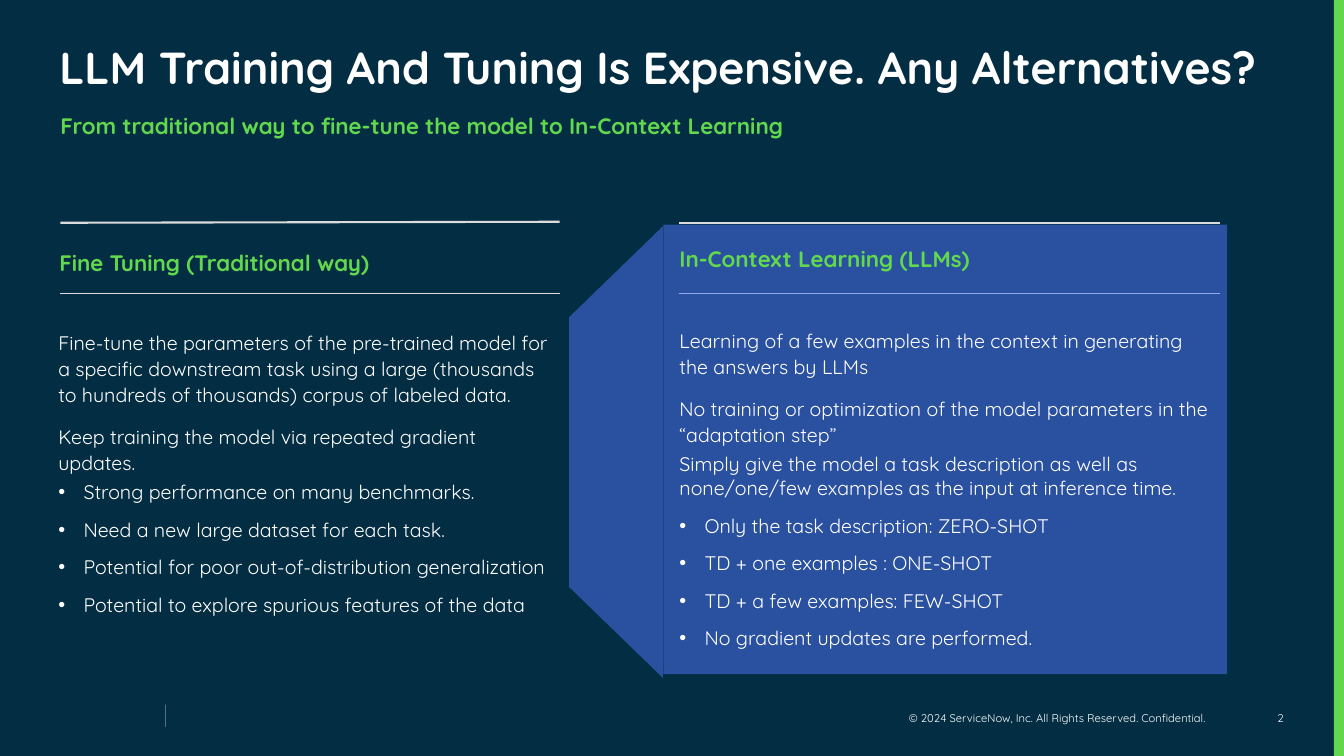
"""Build a slide comparing fine tuning with in-context learning."""
from lxml.etree import SubElement
from pptx import Presentation
from pptx.dml.color import RGBColor
from pptx.enum.shapes import MSO_CONNECTOR, MSO_SHAPE
from pptx.enum.text import MSO_ANCHOR, PP_ALIGN
from pptx.oxml.ns import qn
from pptx.util import Inches, Pt

NAVY = RGBColor(0x03, 0x2D, 0x42)
GREEN = RGBColor(0x62, 0xD8, 0x4E)
BLUE = RGBColor(0x52, 0x74, 0xFF)
GREY = RGBColor(0xDB, 0xDB, 0xDB)
WHITE = RGBColor(0xFF, 0xFF, 0xFF)

deck = Presentation()
deck.slide_width, deck.slide_height = Inches(13.33), Inches(7.5)
slide = deck.slides.add_slide(deck.slide_layouts[6])
slide.background.fill.solid()
slide.background.fill.fore_color.rgb = NAVY


def fade(fill):
    """Make a solid fill half transparent."""
    tint = fill._xPr.find(qn("a:solidFill"))[0]
    SubElement(tint, qn("a:alpha"), val="50000")


def write(box, items, size, color, bold=False, anchor=MSO_ANCHOR.TOP):
    """Add a text box of (kind, text) paragraphs."""
    frame = slide.shapes.add_textbox(*map(Inches, box)).text_frame
    frame.word_wrap = True
    frame.vertical_anchor = anchor
    for i, (kind, text) in enumerate(items):
        para = frame.paragraphs[0] if i == 0 else frame.add_paragraph()
        para.text = text
        if kind == "bullet":
            props = para._p.get_or_add_pPr()
            props.set("marL", str(Inches(0.25)))
            props.set("indent", str(Inches(-0.25)))
            SubElement(props, qn("a:buFont"), typeface="Arial")
            SubElement(props, qn("a:buChar"), char="•")
        if kind == "lead":
            para.line_spacing = 1.1
        elif kind == "title":
            para.line_spacing = 0.9
        elif kind == "right":
            para.alignment = PP_ALIGN.RIGHT
        else:
            para.space_after = Pt(6)
        if i:
            para.space_before = Pt(12 if kind == "lead" else 4)
        font = para.runs[0].font
        font.name, font.size, font.bold = "Quicksand", Pt(size), bold
        font.color.rgb = color


rules = [
    (1.64, 6.99, 1.64, 7.21, WHITE, 0.25),
    (0.6, 2.21, 5.55, 2.2, GREY, 1.5),
    (0.6, 2.91, 5.55, 2.91, GREY, 1),
    (6.73, 2.21, 12.1, 2.21, GREY, 1.5),
    (6.73, 2.91, 12.1, 2.91, GREY, 1),
]
for *ends, color, width in rules:
    rule = slide.shapes.add_connector(MSO_CONNECTOR.STRAIGHT, *map(Inches, ends))
    rule.line.color.rgb = color
    rule.line.width = Pt(width)
    SubElement(rule._element.spPr, qn("a:effectLst"))
    if color == WHITE:
        fade(rule.line.fill)

blocks = [
    (MSO_SHAPE.RECTANGLE, (13.23, 0, 0.1, 7.5), GREEN),
    (MSO_SHAPE.RECTANGLE, (6.58, 2.23, 5.59, 4.46), BLUE),
    (MSO_SHAPE.TRAPEZOID, (3.87, 4.02, 4.48, 0.93), BLUE),
]
for kind, box, color in blocks:
    block = slide.shapes.add_shape(kind, *map(Inches, box))
    block.shadow.inherit = False
    block.fill.solid()
    block.fill.fore_color.rgb = color
    block.line.fill.background()
    if color == BLUE:
        fade(block.fill)
    if kind == MSO_SHAPE.TRAPEZOID:
        block.rotation = 270
        block.adjustments[0] = 0.97

heads = [
    ((0.5, 1.05, 12.23, 0.4),
     "From traditional way to fine-tune the model to In-Context Learning"),
    ((0.49, 2.23, 5.11, 0.74), "Fine Tuning (Traditional way)"),
    ((6.64, 2.2, 5.45, 0.73), "In-Context Learning (LLMs)"),
]
write((0.49, 0.4, 12.24, 0.65),
      [("title", "LLM Training And Tuning Is Expensive. Any Alternatives?")],
      32, WHITE, True)
for box, text in heads:
    write(box, [("head", text)], 16, GREEN, True, MSO_ANCHOR.MIDDLE)

tuning = [
    ("lead", "Fine-tune the parameters of the pre-trained model for a specific "
     "downstream task using a large (thousands to hundreds of thousands) "
     "corpus of labeled data."),
    ("lead", "Keep training the model via repeated gradient updates."),
    ("bullet", "Strong performance on many benchmarks."),
    ("bullet", "Need a new large dataset for each task."),
    ("bullet", "Potential for poor out-of-distribution generalization"),
    ("bullet", "Potential to explore spurious features of the data"),
]
context = [
    ("lead", "Learning of a few examples in the context in generating the "
     "answers by LLMs"),
    ("lead", "No training or optimization of the model parameters in the "
     "“adaptation step”"),
    ("plain", "Simply give the model a task description as well as "
     "none/one/few examples as the input at inference time."),
    ("bullet", "Only the task description: ZERO-SHOT"),
    ("bullet", "TD + one examples : ONE-SHOT"),
    ("bullet", "TD + a few examples: FEW-SHOT"),
    ("bullet", "No gradient updates are performed."),
]
write((0.48, 3.21, 5.11, 3.14), tuning, 14, WHITE)
write((6.64, 3.19, 5.45, 3.14), context, 14, WHITE)

write((8.68, 7.01, 3.38, 0.23),
      [("right", "© 2024 ServiceNow, Inc. All Rights Reserved. Confidential.")],
      8, WHITE, anchor=MSO_ANCHOR.MIDDLE)
write((12.1, 7.01, 0.73, 0.25), [("right", "2")], 8, WHITE)

deck.save("out.pptx")
